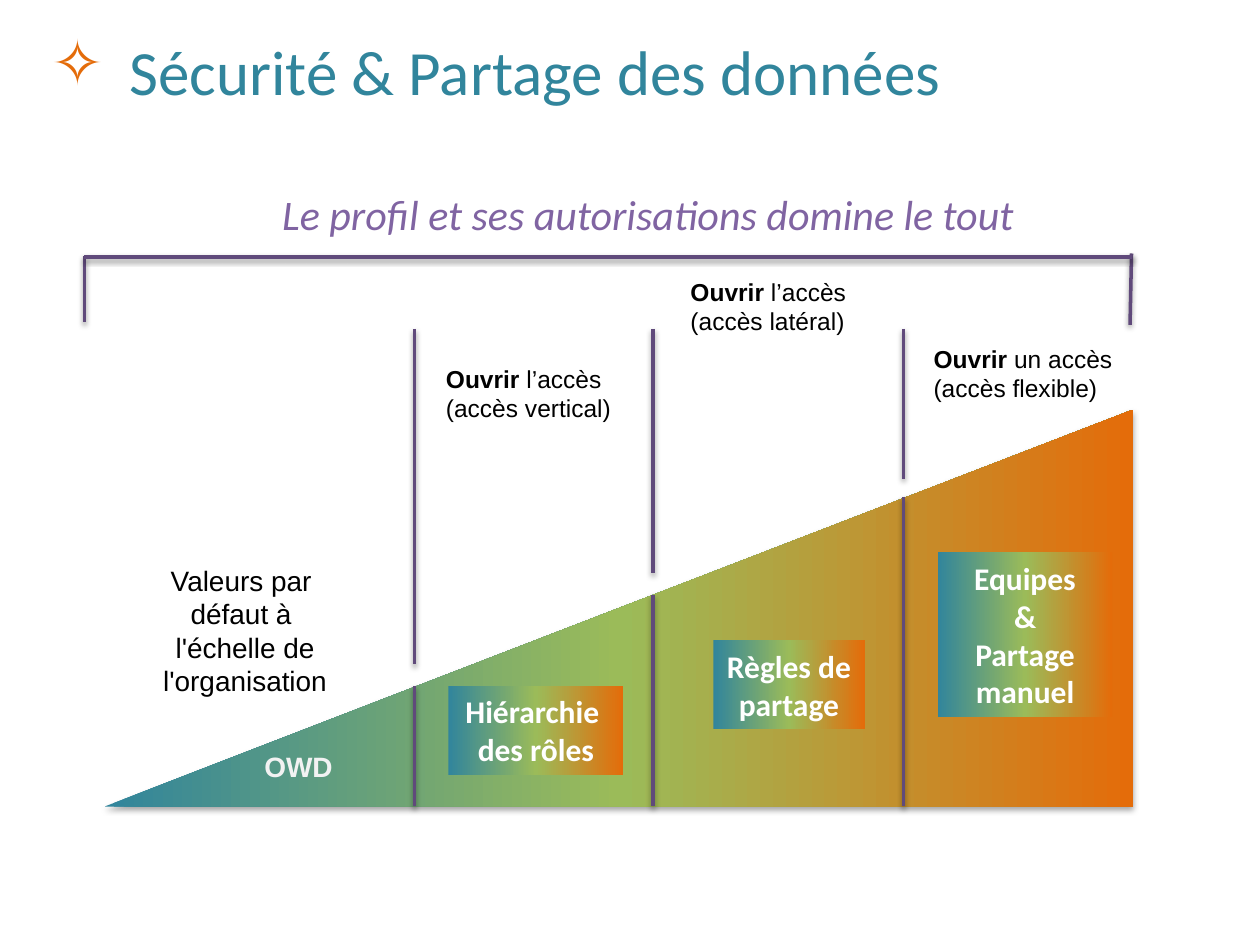
from copy import deepcopy
from dataclasses import dataclass

from lxml import etree
from pptx import Presentation
from pptx import util as u
from pptx.dml.color import RGBColor
from pptx.enum import shapes, text
from pptx.oxml.ns import qn

Cm, Pt = u.Cm, u.Pt
CENTER = text.PP_ALIGN.CENTER


@dataclass(frozen=True)
class Theme:
    teal: str = "31859C"
    green: str = "9BBB59"
    orange: str = "E46C0A"
    rule: str = "604A7B"
    violet: str = "8064A2"
    black: str = "000000"
    white: str = "FFFFFF"
    pale: str = "F2F2F2"
    heading_font: str = "Calibri"
    body_font: str = "Arial"
    title_size: int = 36
    subtitle_size: int = 24
    badge_size: int = 18
    label_size: int = 16
    note_size: int = 14
    rule_width: int = 2


THEME = Theme()


def rgb(value):
    return RGBColor.from_string(value)


def add_shadow(item, alpha, distance):
    """Give a shape or connector a soft shadow straight below it."""
    properties = item._element.spPr
    effects = properties.find(qn("a:effectLst"))
    if effects is None:
        effects = etree.SubElement(properties, qn("a:effectLst"))
    shadow = etree.SubElement(
        effects, qn("a:outerShdw"), blurRad=str(Pt(3.1)),
        dist=str(Pt(distance)), dir="5400000", rotWithShape="0")
    color = etree.SubElement(shadow, qn("a:srgbClr"), val=THEME.black)
    etree.SubElement(color, qn("a:alpha"), val=str(alpha * 1000))


def format_runs(para, font, size, color, bold=False, italic=False):
    for span in para.runs:
        span.font.name = font
        span.font.size = Pt(size)
        span.font.color.rgb = rgb(color)
        span.font.bold = bold
        span.font.italic = italic


def add_text(page, place, words, font, size, color, bold=False, italic=False,
             align=None, spacing=None, wrap=True):
    box = page.shapes.add_textbox(*map(Cm, place))
    frame = box.text_frame
    frame.word_wrap = wrap
    frame.text = words
    for para in frame.paragraphs:
        para.alignment = align
        if spacing:
            para.line_spacing = Pt(spacing)
        format_runs(para, font, size, color, bold, italic)
    return box


def add_title(page, words):
    box = add_text(page, (0.79, 0.53, 22.28, 1.8), words,
                   THEME.heading_font, THEME.title_size, THEME.teal)
    properties = box.text_frame.paragraphs[0]._p.get_or_add_pPr()
    properties.set("marL", str(Cm(1.57)))
    properties.set("indent", str(-Cm(1.57)))
    color = etree.SubElement(properties, qn("a:buClr"))
    etree.SubElement(color, qn("a:srgbClr"), val=THEME.orange)
    etree.SubElement(properties, qn("a:buChar"), char="✧")


def add_gradient_shape(page, kind, place):
    """Add a shape that runs from teal through green to orange."""
    shape = page.shapes.add_shape(kind, *map(Cm, place))
    shape.shadow.inherit = False
    shape.line.fill.background()
    shape.fill.gradient()
    shape.fill.gradient_angle = 0
    stops = shape._element.spPr.find(qn("a:gradFill")).find(qn("a:gsLst"))
    stops.append(deepcopy(stops[0]))
    colors = (THEME.teal, THEME.green, THEME.orange)
    for index, (stop, color) in enumerate(zip(shape.fill.gradient_stops, colors)):
        stop.position = index / 2
        stop.color.rgb = rgb(color)
    return shape


def add_badge(page, place, words):
    shape = add_gradient_shape(page, shapes.MSO_SHAPE.RECTANGLE, place)
    frame = shape.text_frame
    frame.word_wrap = True
    frame.text = words
    for para in frame.paragraphs:
        para.alignment = CENTER
        format_runs(para, THEME.heading_font, THEME.badge_size, THEME.white, bold=True)


def add_rule(page, *ends):
    rule = page.shapes.add_connector(shapes.MSO_CONNECTOR.STRAIGHT, *map(Cm, ends))
    rule.line.color.rgb = rgb(THEME.rule)
    rule.line.width = Pt(THEME.rule_width)
    add_shadow(rule, 38, 1.6)


def add_note(page, left, top, rest, detail):
    """Add a two-line note whose first word is bold."""
    box = add_text(page, (left, top, 4.5, 1.4), f"Ouvrir\n{detail}",
                   THEME.body_font, THEME.note_size, THEME.black)
    first = box.text_frame.paragraphs[0]
    first.add_run().text = f" {rest}"
    format_runs(first, THEME.body_font, THEME.note_size, THEME.black)
    first.runs[0].font.bold = True


def main():
    deck = Presentation()
    deck.slide_width, deck.slide_height = Cm(25.4), Cm(19.05)
    page = deck.slides.add_slide(deck.slide_layouts[6])

    # Headings
    add_title(page, "Sécurité & Partage des données")
    add_text(page, (5.44, 3.68, 15.65, 1.27),
             "Le profil et ses autorisations domine le tout",
             THEME.heading_font, THEME.subtitle_size, THEME.violet,
             italic=True, wrap=False)

    # Growing access wedge
    wedge = add_gradient_shape(page, shapes.MSO_SHAPE.ISOSCELES_TRIANGLE,
                               (2.11, 8.26, 20.73, 8))
    wedge.adjustments[0] = 1
    add_shadow(wedge, 35, 1.8)

    # Dividers above and inside the wedge
    for x, upper_end, lower_start in ((8.36, 13.39, 13.82),
                                      (13.16, 11.56, 11.99),
                                      (18.21, 9.65, 10.01)):
        add_rule(page, x, 6.63, x, upper_end)
        add_rule(page, x, lower_start, x, 16.25)

    # Bracket under the subtitle
    add_rule(page, 1.7, 5.16, 1.7, 6.5)
    add_rule(page, 22.81, 5.11, 22.78, 6.55)
    add_rule(page, 22.83, 5.18, 1.7, 5.18)

    # Default values
    add_text(page, (2.82, 11.23, 4.24, 3),
             "Valeurs par \vdéfaut à \vl'échelle de\vl'organisation",
             THEME.body_font, THEME.label_size, THEME.black,
             align=CENTER, spacing=19.2)
    add_text(page, (5.08, 15.27, 2.64, 0.69), "OWD", THEME.body_font,
             THEME.label_size, THEME.pale, bold=True, spacing=11)

    # Sharing levels
    add_badge(page, (9.04, 13.82, 3.53, 1.8), "Hiérarchie \ndes rôles")
    add_badge(page, (14.38, 12.9, 3.05, 1.8), "Règles de \npartage")
    add_badge(page, (18.9, 11.13, 3.53, 3.33), "Equipes\n&\nPartage manuel")

    # Notes on each level
    add_note(page, 8.74, 7.21, "l’accès", "(accès vertical)")
    add_note(page, 13.67, 5.46, "l’accès", "(accès latéral)")
    add_note(page, 18.57, 6.81, "un accès", "(accès flexible)")

    deck.save("out.pptx")


if __name__ == "__main__":
    main()
